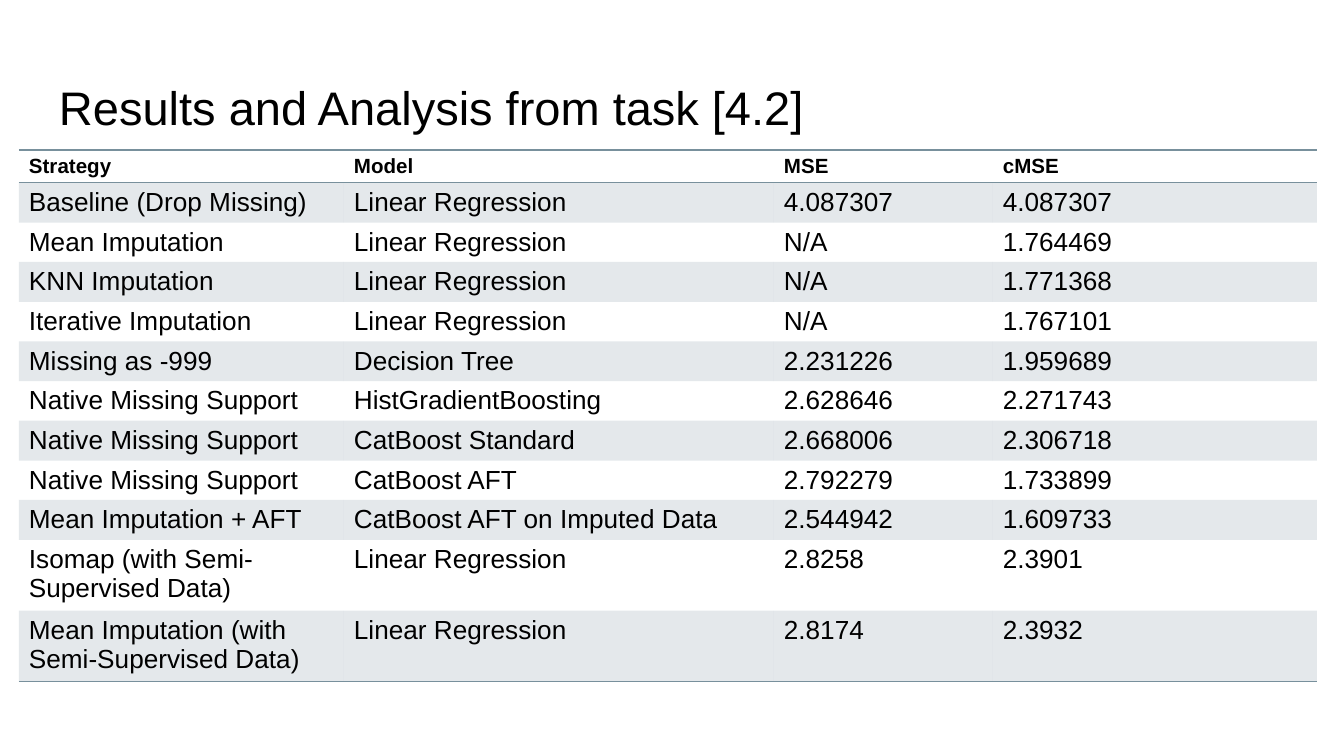
from lxml import etree
from pptx import Presentation
from pptx.dml.color import RGBColor
from pptx.enum.text import MSO_ANCHOR
from pptx.oxml.ns import qn
from pptx.util import Emu, Pt

BOTTOM = MSO_ANCHOR.BOTTOM

PX = 914400 / 134.4  # EMU in one px
FONT = "Arial"
BLACK = RGBColor(0x00, 0x00, 0x00)
SLATE = RGBColor(0x78, 0x90, 0x9C)
NO_STYLE = "{2D5ABB26-0587-4C30-8999-92F81FD0307C}"

COLUMN_WIDTHS = (325, 430, 219, 324)
HEADER_HEIGHT, PLAIN_HEIGHT, BAND_HEIGHT, TWO_LINE_HEIGHT = 32, 39, 40, 69
TWO_LINE_ROWS = 2  # the last rows wrap in the first column

RESULTS = (
    ("Strategy", "Model", "MSE", "cMSE"),
    ("Baseline (Drop Missing)", "Linear Regression", "4.087307", "4.087307"),
    ("Mean Imputation", "Linear Regression", "N/A", "1.764469"),
    ("KNN Imputation", "Linear Regression", "N/A", "1.771368"),
    ("Iterative Imputation", "Linear Regression", "N/A", "1.767101"),
    ("Missing as -999", "Decision Tree", "2.231226", "1.959689"),
    ("Native Missing Support", "HistGradientBoosting", "2.628646", "2.271743"),
    ("Native Missing Support", "CatBoost Standard", "2.668006", "2.306718"),
    ("Native Missing Support", "CatBoost AFT", "2.792279", "1.733899"),
    ("Mean Imputation + AFT", "CatBoost AFT on Imputed Data", "2.544942", "1.609733"),
    ("Isomap (with Semi-Supervised Data)", "Linear Regression", "2.8258", "2.3901"),
    ("Mean Imputation (with Semi-Supervised Data)", "Linear Regression", "2.8174", "2.3932"),
)


def px(n):
    return Emu(round(n * PX))


def set_text(tf, text, size, bold=False):
    p = tf.paragraphs[0]
    p.text = text
    p.font.name = FONT
    p.font.size = Pt(size)
    p.font.bold = bold
    p.font.color.rgb = BLACK


def add_title(s, text):
    tf = s.shapes.add_textbox(px(46), px(64), px(1252), px(84)).text_frame
    tf.word_wrap = True
    tf.vertical_anchor = BOTTOM
    tf.margin_left = tf.margin_right = tf.margin_top = tf.margin_bottom = px(13)
    set_text(tf, text, 25.2)


def shade(cell):
    """Fill a cell with slate at 20 % opacity."""
    cell.fill.solid()
    cell.fill.fore_color.rgb = SLATE
    color = cell._tc.tcPr.find(".//" + qn("a:srgbClr"))
    etree.SubElement(color, qn("a:alpha"), val="20000")


def add_borders(cell, sides):
    """Draw 1 pt rules; borders come before the fill in the cell's XML."""
    for i, side in enumerate(sides):
        ln = etree.Element(qn("a:ln" + side), w=str(Pt(1)))
        fill = etree.SubElement(ln, qn("a:solidFill"))
        etree.SubElement(fill, qn("a:srgbClr"), val=str(SLATE))
        cell._tc.get_or_add_tcPr().insert(i, ln)


def row_height(i):
    if i == 0:
        return HEADER_HEIGHT
    if i >= len(RESULTS) - TWO_LINE_ROWS:
        return TWO_LINE_HEIGHT
    return BAND_HEIGHT if i % 2 else PLAIN_HEIGHT


def add_results_table(s):
    last = len(RESULTS) - 1
    heights = [row_height(i) for i in range(len(RESULTS))]
    table = s.shapes.add_table(
        len(RESULTS), len(COLUMN_WIDTHS), px(19), px(150),
        px(sum(COLUMN_WIDTHS)), px(sum(heights))).table
    table.first_row = table.horz_banding = False
    table._tbl.tblPr.find(qn("a:tableStyleId")).text = NO_STYLE

    for column, width in zip(table.columns, COLUMN_WIDTHS):
        column.width = px(width)

    for i, values in enumerate(RESULTS):
        table.rows[i].height = px(heights[i])
        for cell, value in zip(table.rows[i].cells, values):
            cell.margin_left = cell.margin_right = px(10)
            # A smaller bottom margin keeps the rows from growing
            cell.margin_top, cell.margin_bottom = px(5), px(3)
            set_text(cell.text_frame, value, 11 if i == 0 else 14, bold=i == 0)
            # Odd rows are banded
            if i % 2:
                shade(cell)
            else:
                cell.fill.background()
            # Rules around the header and under the last row
            if i == 0:
                add_borders(cell, "TB")
            elif i == last:
                add_borders(cell, "B")


def main():
    prs = Presentation()
    prs.slide_width, prs.slide_height = px(1344), px(756)
    s = prs.slides.add_slide(prs.slide_layouts[6])
    add_title(s, "Results and Analysis from task [4.2]")
    add_results_table(s)
    prs.save("out.pptx")


if __name__ == "__main__":
    main()
